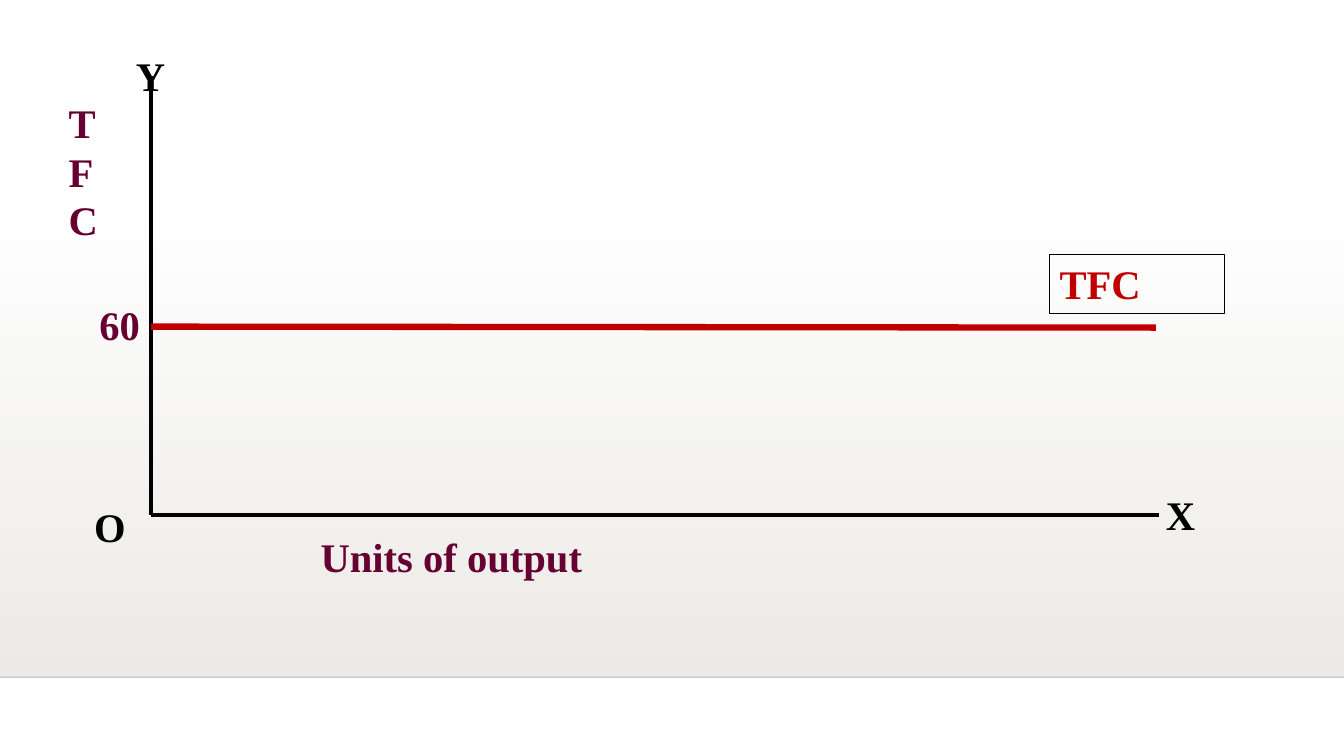
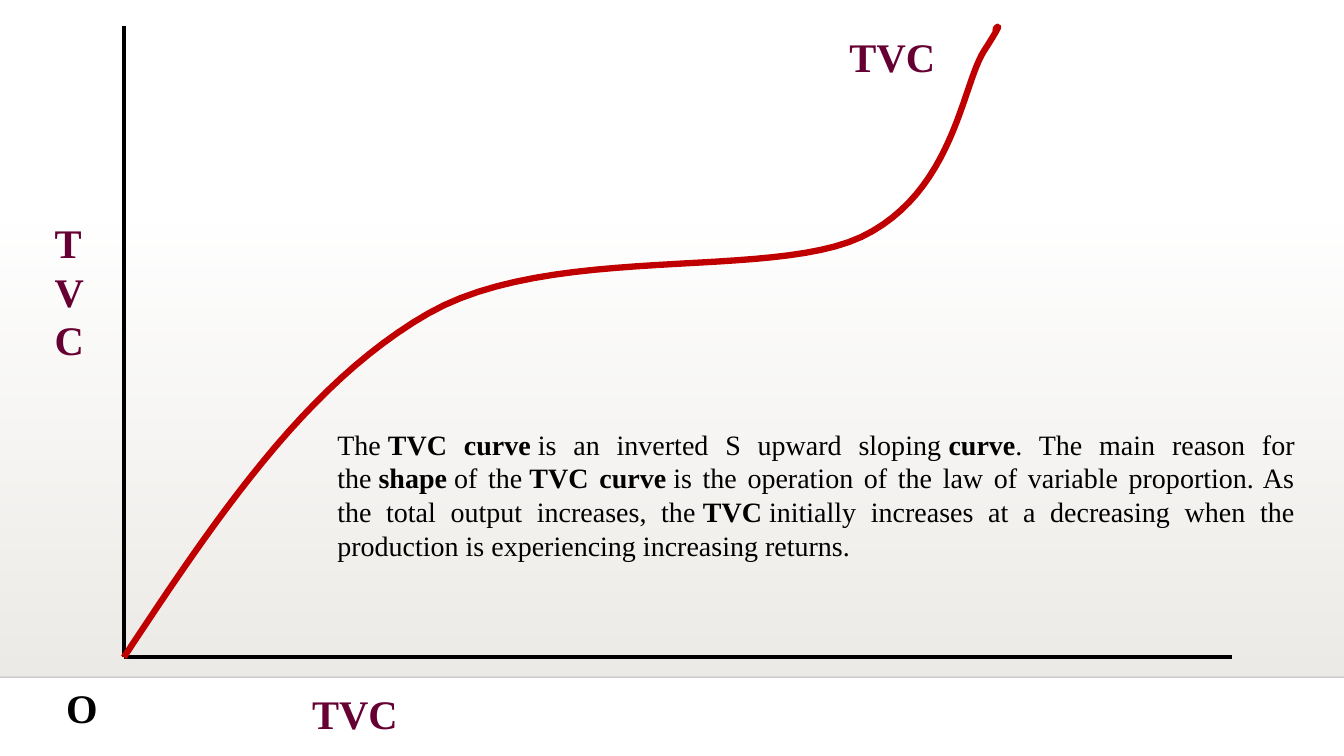
from pptx import Presentation
from pptx.dml.color import RGBColor
from pptx.enum.shapes import MSO_CONNECTOR, MSO_SHAPE
from pptx.enum.text import PP_ALIGN
from pptx.oxml.ns import qn
from pptx.util import Pt
from lxml import etree

STRAIGHT = MSO_CONNECTOR.STRAIGHT
RECTANGLE = MSO_SHAPE.RECTANGLE
JUSTIFY = PP_ALIGN.JUSTIFY

FONT = "Times New Roman"
BLACK, PLUM, RED = "000000", "660033", "C00000"
STONE, RULE_BLACK = "EDEBE7", "000001"
SLIDE_W, SLIDE_H = 960.5, 540
LABEL_SIZE, LABEL_H = 29, 42.5
AXIS_WIDTH, CURVE_WIDTH, THIN_WIDTH = 3, 4.5, 0.75
CURVE_STEPS = 24  # straight pieces in each Bezier section
NO_BREAK_SPACE = chr(160)  # typed as ~ in the explanation


def rgb(value):
    return RGBColor.from_string(value)


def set_opacity(parent, percent):
    """Set the opacity of the one RGB colour inside an element."""
    color = next(parent.iter(qn("a:srgbClr")))
    etree.SubElement(color, qn("a:alpha")).set("val", str(percent * 1000))


def add_line(slide, start, end, color, width):
    line = slide.shapes.add_connector(
        STRAIGHT, Pt(start[0]), Pt(start[1]), Pt(end[0]), Pt(end[1]))
    line.line.color.rgb = rgb(color)
    line.line.width = Pt(width)
    etree.SubElement(line._element.spPr, qn("a:effectLst"))
    return line


def add_text(slide, box, runs, size, color, align=None, border=None):
    """Write (text, bold) runs in a box of (left, top, width, height)."""
    text_box = slide.shapes.add_textbox(*map(Pt, box))
    if border:
        text_box.line.color.rgb = rgb(border)
        text_box.line.width = Pt(THIN_WIDTH)
    frame = text_box.text_frame
    frame.word_wrap = True
    paragraph = frame.paragraphs[0]
    if align is not None:
        paragraph.alignment = align
    for text, bold in runs:
        run = paragraph.add_run()
        run.text = text
        run.font.name = FONT
        run.font.size = Pt(size)
        run.font.bold = bold
        run.font.color.rgb = rgb(color)


def add_label(slide, left, top, width, text, color=PLUM, height=LABEL_H, border=None):
    add_text(slide, (left, top, width, height), [(text, True)],
             LABEL_SIZE, color, border=border)


def add_backdrop(slide):
    """Shaded band fading in towards the rule near the foot."""
    band = slide.shapes.add_shape(RECTANGLE, 0, Pt(158.5), Pt(SLIDE_W), Pt(325))
    band.shadow.inherit = False
    band.line.fill.background()
    band.fill.gradient()
    band.fill.gradient_angle = 270
    for stop in band.fill.gradient_stops:
        stop.color.rgb = rgb(STONE)
    set_opacity(band._element.spPr, 0)  # first stop is clear
    rule = add_line(slide, (0, 483.75), (SLIDE_W, 483.75), RULE_BLACK, 1)
    set_opacity(rule._element.spPr, 20)


def add_axes(slide, box):
    left, top, width, height = box
    origin = (left, top + height)
    add_line(slide, (left, top), origin, BLACK, AXIS_WIDTH)
    add_line(slide, origin, (left + width, top + height), BLACK, AXIS_WIDTH)


def bezier(start, control_1, control_2, end):
    """Points along a cubic Bezier section, without its start."""
    for step in range(1, CURVE_STEPS + 1):
        t = step / CURVE_STEPS
        u = 1 - t
        weights = (u ** 3, 3 * u * u * t, 3 * u * t * t, t ** 3)
        corners = (start, control_1, control_2, end)
        yield tuple(sum(w * c[axis] for w, c in zip(weights, corners)) for axis in (0, 1))


def add_curve(slide, origin, sections):
    """Draw Bezier sections given as offsets right of and above the origin."""
    points = [(0, 0)]
    for section in sections:
        points.extend(bezier(points[-1], *section))
    placed = [(Pt(origin[0] + x), Pt(origin[1] - y)) for x, y in points]
    builder = slide.shapes.build_freeform(*placed[0])
    builder.add_line_segments(placed[1:], close=False)
    curve = builder.convert_to_shape()
    curve.shadow.inherit = False
    curve.fill.background()
    curve.line.color.rgb = rgb(RED)
    curve.line.width = Pt(CURVE_WIDTH)


def fixed_cost_slide(slide, box):
    left, top, width, height = box
    right, bottom = left + width, top + height
    cost_level = top + 179.3
    add_backdrop(slide)
    add_axes(slide, box)

    # Axis names
    add_label(slide, left + 114, bottom + 8.5, 440, "Units of output")
    add_label(slide, left - 66, top + 12.4, 32, "TFC", height=112)
    add_label(slide, right - 1.8, bottom - 21.5, 80, "X", BLACK)
    add_label(slide, left - 18, top - 21.5, 64, "Y", BLACK)
    add_label(slide, left - 47.7, bottom - 13, 72, "O", BLACK)

    # Tick dot beside the vertical axis
    tick = (left - 12, top + 216)
    add_line(slide, tick, tick, BLACK, THIN_WIDTH)

    # Constant cost
    add_line(slide, (left, cost_level), (right - 2, cost_level + 0.7), RED, CURVE_WIDTH)
    add_label(slide, left - 44, cost_level - 22.3, 80, "60")
    add_label(slide, right - 77.8, cost_level - 51.8, 125.3, "TFC", RED, border=BLACK)


def variable_cost_slide(slide, box):
    left, top, width, height = box
    bottom = top + height
    add_backdrop(slide)
    add_axes(slide, box)

    # Axis and curve names
    add_label(slide, left + 511.5, top + 0.4, 168, "TVC")
    add_label(slide, left - 48.4, bottom + 14.5, 40, "O", BLACK)
    add_label(slide, left - 56.5, top + 133.5, 40, "TVC", height=165)
    add_label(slide, left + 127.5, bottom + 19, 376, "TVC")

    # Inverted S curve
    add_curve(slide, (left, bottom), [
        ((64.8, 97.9), (129.6, 195.1), (217.4, 245.5)),
        ((305.3, 295.9), (460.8, 269.3), (527, 300.2)),
        ((593.3, 331.9), (599, 409), (614.9, 433.4)),
        ((630.7, 457.9), (622.8, 448.6), (622.8, 448.6)),
        ((622.8, 448.6), (625, 448.6), (625, 448.6)),
    ])

    # Explanation
    explanation = [
        ("The~", False), ("TVC curve", True),
        ("~is an inverted S upward sloping~", False), ("curve", True),
        (". The main reason for the~", False), ("shape", True),
        ("~of the~", False), ("TVC curve", True),
        ("~is the operation of the law of variable proportion. "
         "As the total output increases, the~", False), ("TVC", True),
        ("~initially increases at a decreasing when the production "
         "is experiencing increasing returns.", False),
    ]
    runs = [(text.replace("~", NO_BREAK_SPACE), bold) for text, bold in explanation]
    add_text(slide, (left + 145.5, top + 283.2, 698.5, 103.5), runs,
             20, BLACK, align=JUSTIFY)


def main():
    deck = Presentation()
    deck.slide_width, deck.slide_height = Pt(SLIDE_W), Pt(SLIDE_H)
    blank = deck.slide_layouts[6]
    fixed_cost_slide(deck.slides.add_slide(blank), (108, 54, 720, 314))
    variable_cost_slide(deck.slides.add_slide(blank), (88.5, 18.5, 791.7, 451))
    deck.save("out.pptx")


if __name__ == "__main__":
    main()
